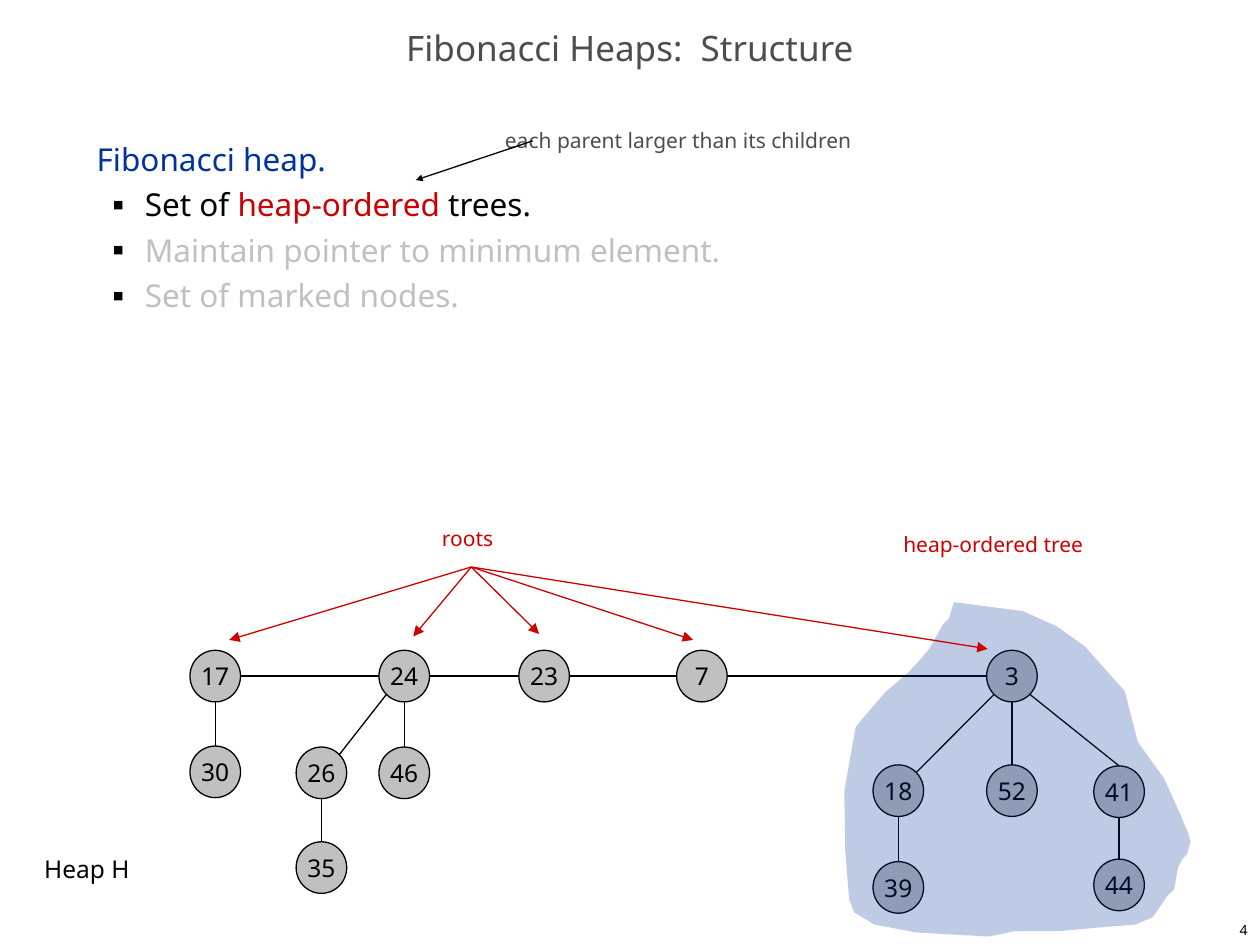
from lxml import etree
from pptx import Presentation
from pptx.dml.color import RGBColor
from pptx.enum import shapes, text
from pptx.oxml import ns
from pptx.util import Cm, Pt

FONT = "Noto Sans"
BLACK = RGBColor(0x00, 0x00, 0x00)
SILVER = RGBColor(0xC0, 0xC0, 0xC0)
GRAY = RGBColor(0x4D, 0x4D, 0x4D)
RED = RGBColor(0xCC, 0x00, 0x00)
BLUE = RGBColor(0x00, 0x33, 0x99)

# All positions below are in centimetres.
NODE_WIDTH, NODE_HEIGHT = 1.02, 1.04
ROOT_TOP = 13.11
ROOTS = ["17", "24", "23", "7", "3"]
# key: (centre x, top)
NODES = {
    "17": (4.34, ROOT_TOP), "24": (8.15, ROOT_TOP), "23": (10.97, ROOT_TOP),
    "7": (14.15, ROOT_TOP), "3": (20.4, ROOT_TOP),
    "30": (4.34, 15.04), "26": (6.48, 15.06), "46": (8.15, 15.06),
    "35": (6.48, 16.97), "18": (18.11, 15.42), "52": (20.4, 15.42),
    "41": (22.56, 15.44), "39": (18.11, 17.37), "44": (22.56, 17.32),
}
# Points on a node's rim, as fractions of its half width and half height
TOP, BOTTOM, LEFT, RIGHT = (0, -1), (0, 1), (-1, 0), (1, 0)
LOWER_LEFT, LOWER_RIGHT, UPPER_RIGHT = (-0.7, 0.7), (0.7, 0.7), (0.7, -0.7)
# parent, its rim point, child, its rim point
BRANCHES = [
    ("17", BOTTOM, "30", TOP), ("24", LOWER_LEFT, "26", UPPER_RIGHT),
    ("24", BOTTOM, "46", TOP), ("26", BOTTOM, "35", TOP),
    ("3", LOWER_LEFT, "18", UPPER_RIGHT), ("3", BOTTOM, "52", TOP),
    ("3", LOWER_RIGHT, "41", TOP), ("18", BOTTOM, "39", TOP),
    ("41", BOTTOM, "44", TOP),
]
ROOTS_LABEL_FOOT = (9.5, 11.43)
ROOT_ARROW_TIPS = [(4.62, 12.9), (8.33, 12.83), (10.87, 12.78),
                   (13.97, 12.9), (19.91, 13.08)]
TREE_OUTLINE = [
    (19.23, 12.14), (20.62, 12.32), (21.29, 12.62), (21.87, 13.03),
    (22.5, 13.74), (22.68, 13.94), (22.76, 14.27), (22.94, 14.96),
    (23.47, 15.7), (23.77, 16.36), (23.95, 16.79), (24, 16.97),
    (23.93, 17.22), (23.85, 17.3), (23.75, 17.48), (23.67, 17.93),
    (23.52, 18.08), (23.24, 18.49), (22.89, 18.64), (22.25, 18.69),
    (21.36, 18.77), (20.47, 18.77), (19.93, 18.88), (18.47, 18.8),
    (17.91, 18.69), (17.63, 18.64), (17.22, 18.39), (17.12, 18.14),
    (17.04, 17.15), (17.02, 15.95), (17.25, 14.66), (17.42, 14.45),
    (17.86, 13.94), (18.16, 13.69), (18.31, 13.56), (18.54, 13.31),
    (18.75, 13.06), (19, 12.6), (19.13, 12.47),
]
BULLETS = [
    [("Set of ", BLACK), ("heap-ordered", RED), (" trees.", BLACK)],
    [("Maintain pointer to minimum element.", SILVER)],
    [("Set of marked nodes.", SILVER)],
]


def style(font, size, color):
    font.name, font.size = FONT, Pt(size)
    font.color.rgb = color


def add_label(slide, box, words, size, color, align=text.PP_ALIGN.LEFT,
              anchor=text.MSO_ANCHOR.TOP):
    frame = slide.shapes.add_textbox(*map(Cm, box)).text_frame
    frame.word_wrap = True
    frame.vertical_anchor = anchor
    frame.text = words
    frame.paragraphs[0].alignment = align
    style(frame.paragraphs[0].runs[0].font, size, color)
    return frame


def add_line(slide, start, end, color=BLACK, head=None):
    """Draw a line; head is the arrowhead size ("sm", "med") at its end."""
    line = slide.shapes.add_connector(
        shapes.MSO_CONNECTOR.STRAIGHT, *map(Cm, (*start, *end)))
    line.line.color.rgb = color
    line.line.width = Pt(0.75)
    properties = line.element.spPr
    if head:
        etree.SubElement(properties.find(ns.qn("a:ln")), ns.qn("a:tailEnd"),
                         type="triangle", w=head, len=head)
    etree.SubElement(properties, ns.qn("a:effectLst"))


def add_node(slide, key):
    x, top = NODES[key]
    node = slide.shapes.add_shape(
        shapes.MSO_SHAPE.OVAL, Cm(x - NODE_WIDTH / 2), Cm(top),
        Cm(NODE_WIDTH), Cm(NODE_HEIGHT))
    node.shadow.inherit = False
    node.fill.solid()
    node.fill.fore_color.rgb = SILVER
    node.line.color.rgb = BLACK
    node.line.width = Pt(0.75)
    frame = node.text_frame
    frame.word_wrap = False
    frame.vertical_anchor = text.MSO_ANCHOR.MIDDLE
    frame.text = key
    frame.paragraphs[0].alignment = text.PP_ALIGN.CENTER
    style(frame.paragraphs[0].runs[0].font, 14, BLACK)


def rim(key, side):
    x, top = NODES[key]
    return (x + side[0] * NODE_WIDTH / 2, top + (1 + side[1]) * NODE_HEIGHT / 2)


def add_heap(slide):
    for key in NODES:
        add_node(slide, key)
    for left, right in zip(ROOTS, ROOTS[1:]):
        add_line(slide, rim(left, RIGHT), rim(right, LEFT))
    for parent, parent_side, child, child_side in BRANCHES:
        add_line(slide, rim(parent, parent_side), rim(child, child_side))


def add_tree_highlight(slide):
    first, *rest = [(Cm(x), Cm(y)) for x, y in TREE_OUTLINE]
    builder = slide.shapes.build_freeform(*first)
    builder.add_line_segments(rest, close=True)
    highlight = builder.convert_to_shape()
    highlight.shadow.inherit = False
    highlight.fill.solid()
    highlight.fill.fore_color.rgb = BLUE
    highlight.line.fill.background()
    color = highlight.element.spPr.find(
        f"{ns.qn('a:solidFill')}/{ns.qn('a:srgbClr')}")
    etree.SubElement(color, ns.qn("a:alpha"), val="25000")


def add_bullet(paragraph):
    properties = paragraph._p.get_or_add_pPr()
    properties.set("marL", str(Cm(0.97)))
    properties.set("indent", str(-Cm(0.64)))
    color = etree.SubElement(properties, ns.qn("a:buClr"))
    etree.SubElement(color, ns.qn("a:srgbClr"), val=str(BLACK))
    etree.SubElement(properties, ns.qn("a:buSzPct"), val="35000")
    etree.SubElement(properties, ns.qn("a:buFont"), typeface=FONT)
    etree.SubElement(properties, ns.qn("a:buChar"), char="■")


def add_definition(slide):
    frame = add_label(slide, (1.7, 2.54, 21.79, 15.04), "Fibonacci heap.", 18, BLUE)
    for pieces in BULLETS:
        paragraph = frame.add_paragraph()
        add_bullet(paragraph)
        for words, color in pieces:
            run = paragraph.add_run()
            run.text = words
            style(run.font, 18, color)
    for paragraph in frame.paragraphs:
        paragraph.line_spacing = Pt(26)


def main():
    deck = Presentation()
    deck.slide_width, deck.slide_height = Cm(25.4), Cm(19.05)
    slide = deck.slides.add_slide(deck.slide_layouts[6])

    title = add_label(slide, (0, 0.43, 25.4, 1.27), "Fibonacci Heaps:  Structure",
                      20, GRAY, text.PP_ALIGN.CENTER, text.MSO_ANCHOR.MIDDLE)
    title.paragraphs[0].line_spacing = 0.7
    add_definition(slide)
    add_label(slide, (9.93, 2.44, 9.68, 0.76),
              "each parent larger than its children", 12, GRAY)
    add_line(slide, (10.74, 2.84), (8.38, 3.63), head="sm")

    add_heap(slide)
    add_tree_highlight(slide)
    add_label(slide, (0.64, 17.09, 2.6, 0.84), "Heap H", 14, BLACK)
    add_label(slide, (8.66, 10.46, 1.78, 0.76), "roots", 12, RED)
    add_label(slide, (17.96, 10.59, 4.85, 0.76), "heap-ordered tree", 12, RED)
    for tip in ROOT_ARROW_TIPS:
        add_line(slide, ROOTS_LABEL_FOOT, tip, RED, head="med")
    add_label(slide, (20.12, 18.42, 5.28, 0.64), "4", 8, BLACK,
              text.PP_ALIGN.RIGHT, text.MSO_ANCHOR.MIDDLE)
    deck.save("out.pptx")


if __name__ == "__main__":
    main()
